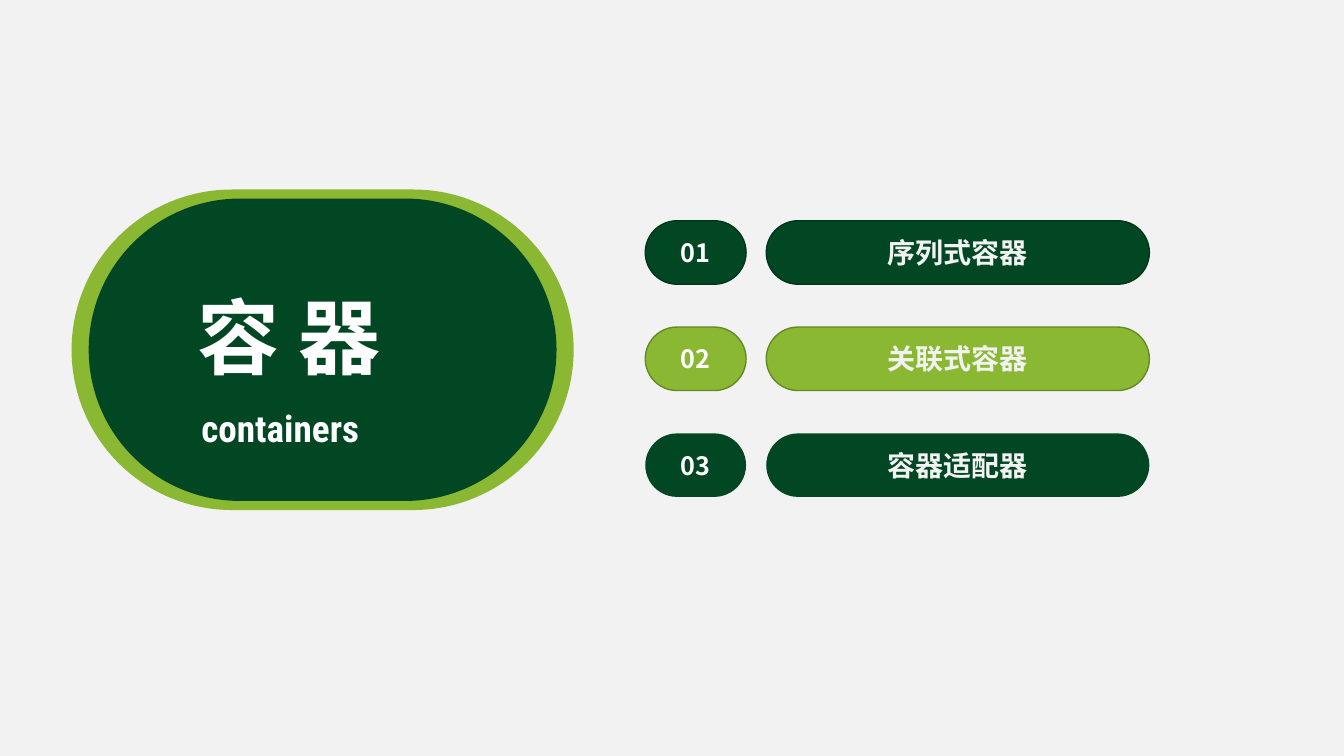
from dataclasses import dataclass

from lxml import etree
from pptx import Presentation
from pptx.dml.color import RGBColor
from pptx.enum.shapes import MSO_SHAPE
from pptx.enum.text import MSO_ANCHOR, MSO_AUTO_SIZE, PP_ALIGN
from pptx.oxml.ns import qn
from pptx.util import Inches, Pt

PILL = MSO_SHAPE.ROUNDED_RECTANGLE
MIDDLE = MSO_ANCHOR.MIDDLE
CENTER = PP_ALIGN.CENTER
NO_AUTOFIT = MSO_AUTO_SIZE.NONE


@dataclass(frozen=True)
class Theme:
    paper: str = "F2F2F2"
    white: str = "FFFFFF"
    forest: str = "014723"
    forest_edge: str = "00351A"
    lime: str = "8AB833"
    lime_edge: str = "668826"
    chinese: str = "Noto Sans CJK SC"
    latin: str = "Roboto Condensed"
    title_size: float = 58.6
    subtitle_size: float = 26.6
    label_size: float = 20
    number_size: float = 18


theme = Theme()


def write(box, text, size, color=theme.white, font=theme.chinese, wrap=True):
    """Put one centred bold line into a shape."""
    frame = box.text_frame
    frame.auto_size = NO_AUTOFIT
    frame.word_wrap = wrap
    frame.vertical_anchor = MIDDLE
    para = frame.paragraphs[0]
    para.alignment = CENTER
    span = para.add_run()
    span.text = text
    span.font.size = Pt(size)
    span.font.bold = True
    span.font.name = font
    span.font.color.rgb = RGBColor.from_string(color)
    east_asian = etree.SubElement(span.font._element, qn("a:ea"))
    east_asian.set("typeface", font)


def add_pill(left, top, width, height, fill, edge=None):
    """Draw a fully rounded bar, with an outline if an edge colour is given."""
    pill = page.shapes.add_shape(
        PILL, Inches(left), Inches(top), Inches(width), Inches(height))
    pill.adjustments[0] = 0.5
    pill.shadow.inherit = False
    pill.fill.solid()
    pill.fill.fore_color.rgb = RGBColor.from_string(fill)
    if edge:
        pill.line.color.rgb = RGBColor.from_string(edge)
        pill.line.width = Pt(1)
    else:
        pill.line.fill.background()
    return pill


# Slide and background
deck = Presentation()
deck.slide_width, deck.slide_height = Inches(13.33), Inches(7.5)
page = deck.slides.add_slide(deck.slide_layouts.get_by_name("Title Only"))
page.background.fill.solid()
page.background.fill.fore_color.rgb = RGBColor.from_string(theme.paper)

# Large badge
add_pill(0.71, 1.88, 4.98, 3.18, theme.lime)
add_pill(0.88, 1.97, 4.64, 3, theme.forest)

# Chapter list: number and label in each row
row_top, row_pitch, row_height = 2.19, 1.055, 0.63
number_left, number_width = 6.4, 1
label_left, label_width = 7.6, 3.8
chapters = [
    ("序列式容器", theme.forest, theme.forest_edge),
    ("关联式容器", theme.lime, theme.lime_edge),
    ("容器适配器", theme.forest, None),
]
for row, (label, fill, edge) in enumerate(chapters):
    top = row_top + row * row_pitch
    number_pill = add_pill(number_left, top, number_width, row_height, fill, edge)
    write(number_pill, f"{row + 1:02d}", theme.number_size)
    label_pill = add_pill(label_left, top, label_width, row_height, fill, edge)
    write(label_pill, label, theme.label_size, color=theme.paper)

# Subtitle
subtitle = page.shapes.add_textbox(
    Inches(1.74), Inches(3.97), Inches(2.08), Inches(0.55))
write(subtitle, "containers", theme.subtitle_size, font=theme.latin, wrap=False)

# Title, brought in front of the badge
title = page.shapes.title
title.left, title.top = Inches(1.83), Inches(2.79)
title.width, title.height = Inches(2.07), Inches(1.09)
write(title, "容 器", theme.title_size, wrap=False)
page.shapes._spTree.append(title._element)

deck.save("out.pptx")
